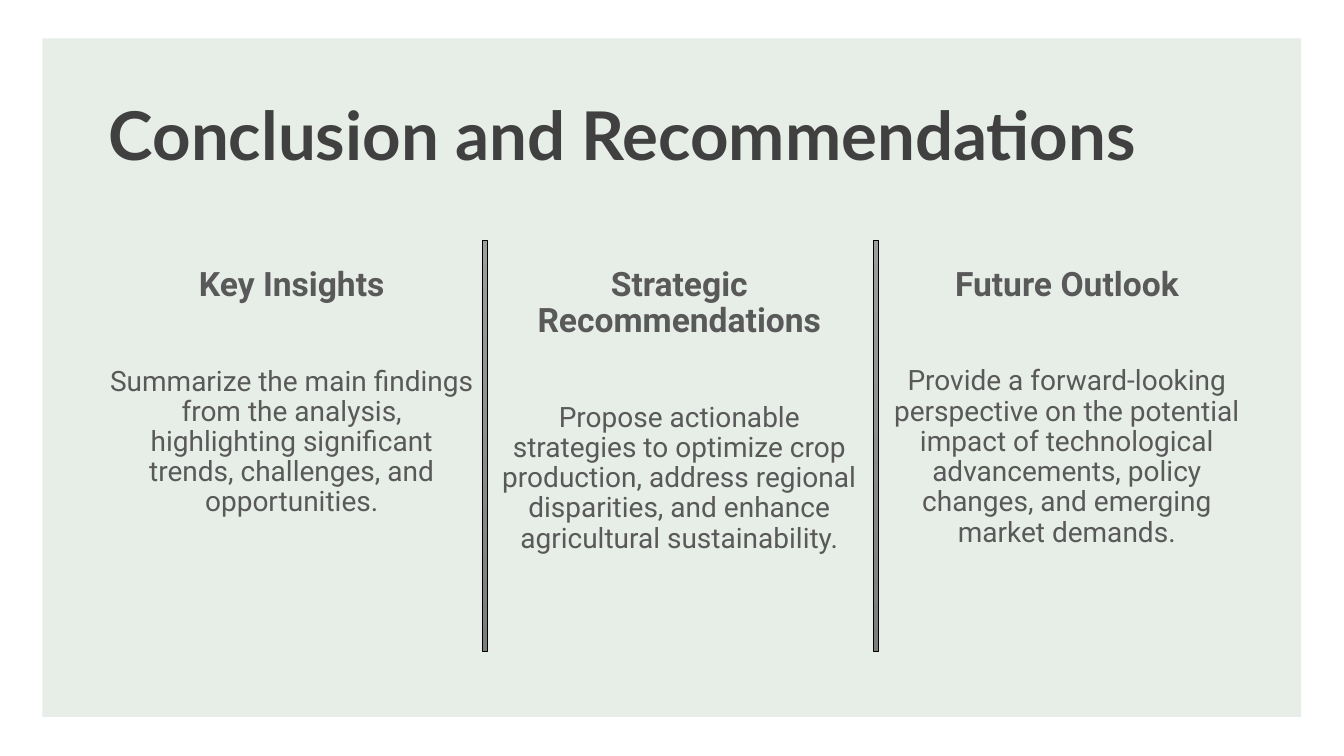
"""Build the conclusion slide: a title above three columns split by dividers."""
from lxml import etree
from pptx import Presentation
from pptx.dml.color import RGBColor
from pptx.enum.shapes import MSO_SHAPE
from pptx.enum.text import MSO_ANCHOR, MSO_AUTO_SIZE, PP_ALIGN
from pptx.oxml.ns import qn
from pptx.util import Pt

RECT = MSO_SHAPE.RECTANGLE
TOP, MIDDLE = MSO_ANCHOR.TOP, MSO_ANCHOR.MIDDLE
LEFT, CENTER = PP_ALIGN.LEFT, PP_ALIGN.CENTER
NO_AUTOFIT = MSO_AUTO_SIZE.NONE

COLORS = {
    "panel": "E7EEE8",
    "title": "404040",
    "text": "595959",
    "divider_top": "9D9D9D",
    "divider_bottom": "7C7C7C",
    "outline": "000000",
}
TITLE = "Conclusion and Recommendations"
COLUMNS = [
    ("Key Insights",
     "Summarize the main findings from the analysis, highlighting "
     "significant trends, challenges, and opportunities."),
    ("Strategic Recommendations",
     "Propose actionable strategies to optimize crop production, address "
     "regional disparities, and enhance agricultural sustainability."),
    ("Future Outlook",
     "Provide a forward-looking perspective on the potential impact of "
     "technological advancements, policy changes, and emerging market "
     "demands."),
]
COLUMN_LEFT, COLUMN_TOP = 70.5, 187.2
COLUMN_WIDTH, COLUMN_HEIGHT = 275.8, 265
COLUMN_PITCH = 276.85
DIVIDER_LEFT, DIVIDER_PITCH = 344.2, 280
BODY_GAP = 45.3


def rgb(name):
    """Return the named colour."""
    return RGBColor.from_string(COLORS[name])


def place(shape, left, top, width, height):
    """Move and size a shape, in points."""
    shape.left, shape.top = Pt(left), Pt(top)
    shape.width, shape.height = Pt(width), Pt(height)


def set_frame(tf, anchor):
    """Wrap the text at a fixed size and anchor it."""
    tf.word_wrap = True
    tf.auto_size = NO_AUTOFIT
    tf.vertical_anchor = anchor


def format_paragraph(p, text, font, size, color, bold, align, before=0):
    """Fill and format one paragraph without a bullet."""
    p.text = text
    p.alignment = align
    p.line_spacing = 0.9
    p.space_before = Pt(before)
    p.font.name, p.font.size, p.font.bold = font, Pt(size), bold
    p.font.color.rgb = rgb(color)
    pPr = p._p.get_or_add_pPr()
    pPr.set("marL", "0")
    pPr.set("indent", "0")
    pPr.insert_element_before(etree.Element(qn("a:buNone")),
                              "a:tabLst", "a:defRPr", "a:extLst")


def add_rect(s, left, top, width, height):
    """Add a rectangle without a shadow."""
    sp = s.shapes.add_shape(RECT, Pt(left), Pt(top), Pt(width), Pt(height))
    sp.shadow.inherit = False
    return sp


def add_panel(s):
    """Add the tinted panel behind everything else."""
    sp = add_rect(s, 30.2, 27.4, 899.3, 484.6)
    sp.fill.solid()
    sp.fill.fore_color.rgb = rgb("panel")
    sp.line.fill.background()
    s.shapes.element.insert(2, sp.element)


def set_title(s):
    """Place and format the title."""
    sp = s.shapes.title
    place(sp, 70.5, 51.8, 824.4, 94.3)
    set_frame(sp.text_frame, MIDDLE)
    format_paragraph(sp.text_frame.paragraphs[0], TITLE, "Lato", 48,
                     "title", True, LEFT)


def fill_column(sp, index, heading, body):
    """Place one column and write its heading and body."""
    place(sp, COLUMN_LEFT + index * COLUMN_PITCH, COLUMN_TOP,
          COLUMN_WIDTH, COLUMN_HEIGHT)
    tf = sp.text_frame
    set_frame(tf, TOP)
    format_paragraph(tf.paragraphs[0], heading, "Roboto", 24, "text", True,
                     CENTER)
    format_paragraph(tf.add_paragraph(), body, "Roboto", 20, "text", False,
                     CENTER, BODY_GAP)


def add_divider(s, index):
    """Add one shaded vertical bar between columns."""
    sp = add_rect(s, DIVIDER_LEFT + index * DIVIDER_PITCH, 171.4, 3.6, 293.8)
    sp.fill.gradient()
    sp.fill.gradient_angle = 270
    for stop, name in zip(sp.fill.gradient_stops,
                          ("divider_top", "divider_bottom")):
        stop.color.rgb = rgb(name)
    sp.line.color.rgb = rgb("outline")
    sp.line.width = Pt(0.5)


def main():
    """Build and save the slide."""
    prs = Presentation()
    prs.slide_width, prs.slide_height = Pt(960), Pt(540)
    s = prs.slides.add_slide(prs.slide_layouts[1])
    add_panel(s)
    set_title(s)
    for i, (heading, body) in enumerate(COLUMNS):
        sp = (s.placeholders[1] if i == 0
              else s.shapes.add_textbox(0, 0, 0, 0))
        fill_column(sp, i, heading, body)
    for i in range(len(COLUMNS) - 1):
        add_divider(s, i)
    prs.save("out.pptx")


if __name__ == "__main__":
    main()
